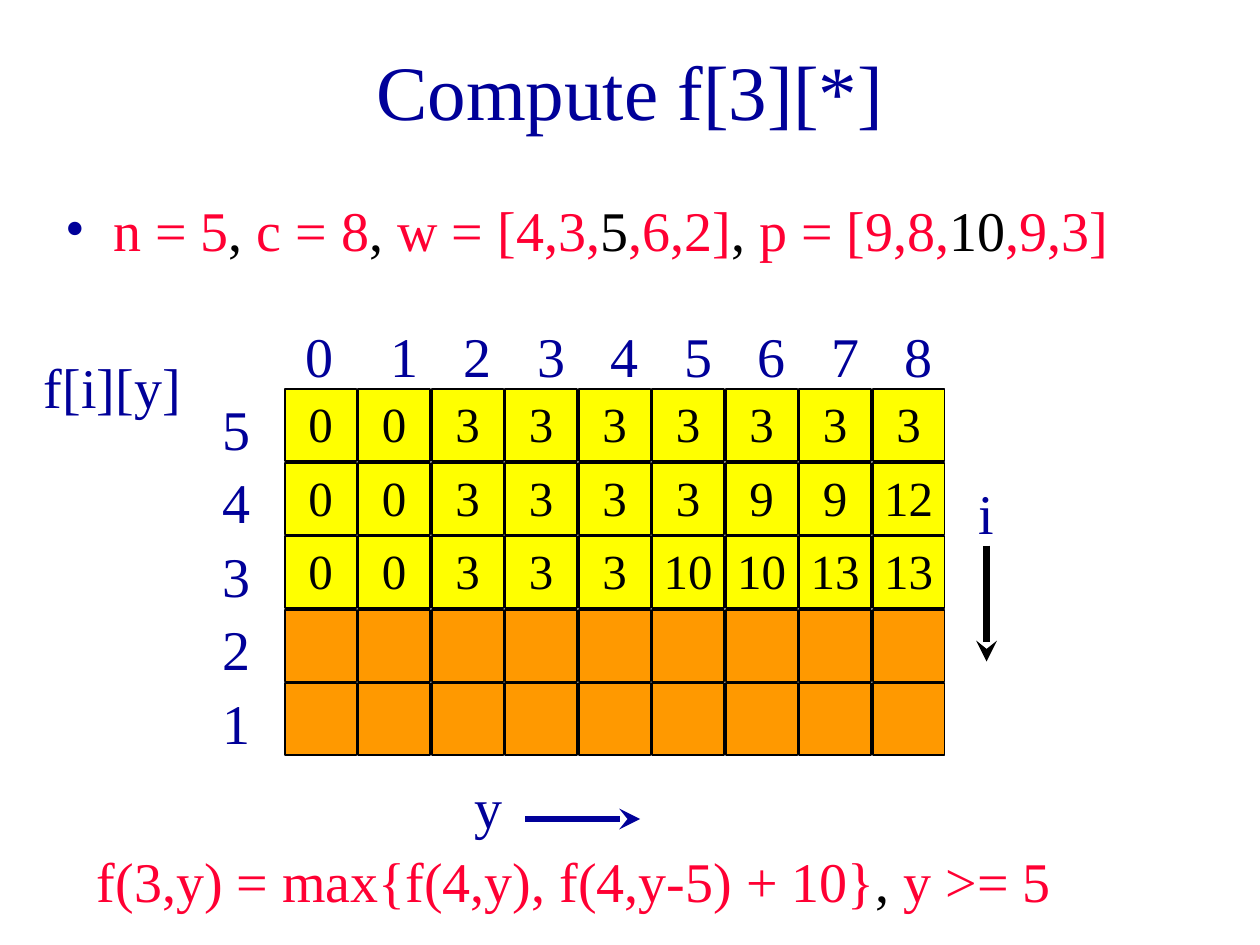
"""Build the slide that fills row 3 of the knapsack table f[i][y]."""
import lxml.etree
import pptx
import pptx.dml.color
import pptx.enum.shapes
import pptx.enum.text
import pptx.oxml.ns
import pptx.util

Inches = pptx.util.Inches
Pt = pptx.util.Pt
qn = pptx.oxml.ns.qn
RGBColor = pptx.dml.color.RGBColor
NAVY = RGBColor(0x00, 0x00, 0x99)
RED = RGBColor(0xFF, 0x00, 0x33)
BLACK = RGBColor(0x00, 0x00, 0x00)
YELLOW = RGBColor(0xFF, 0xFF, 0x00)
ORANGE = RGBColor(0xFF, 0x99, 0x00)
CENTER = pptx.enum.text.PP_ALIGN.CENTER
LEFT = pptx.enum.text.PP_ALIGN.LEFT
MIDDLE = pptx.enum.text.MSO_ANCHOR.MIDDLE
TOP = pptx.enum.text.MSO_ANCHOR.TOP

STEP = 7 / 12
CELL = 0.57
GRID_LEFT, GRID_TOP = 2.26, 3.09
ROWS = [
    (5, [0, 0, 3, 3, 3, 3, 3, 3, 3]),
    (4, [0, 0, 3, 3, 3, 3, 9, 9, 12]),
    (3, [0, 0, 3, 3, 3, 10, 10, 13, 13]),
    (2, [""] * 9),
    (1, [""] * 9),
]


def write(sp, text, size=32, color=NAVY, align=LEFT, anchor=TOP, wrap=True):
    """Write text, or a list of (text, color) runs, into a shape."""
    tf = sp.text_frame
    tf.word_wrap = wrap
    tf.auto_size = pptx.enum.text.MSO_AUTO_SIZE.NONE
    tf.vertical_anchor = anchor
    p = tf.paragraphs[0]
    p.alignment = align
    runs = [(text, color)] if isinstance(text, str) else text
    for run_text, run_color in runs:
        r = p.add_run()
        r.text = run_text
        r.font.name = "Times New Roman"
        r.font.size = Pt(size)
        r.font.color.rgb = run_color
    return p


prs = pptx.Presentation()
prs.slide_width, prs.slide_height = Inches(10), Inches(7.5)
s = prs.slides.add_slide(prs.slide_layouts[5])

title = s.shapes.title
title.left, title.top = Inches(0.75), Inches(0.17)
title.width, title.height = Inches(8.5), Inches(1.08)
write(title, "Compute f[3][*]", size=44, align=CENTER, anchor=MIDDLE)

data = s.shapes.add_textbox(Inches(0.42), Inches(1.5), Inches(9.25), Inches(0.67))
p = write(data, [
    ("n = 5", RED), (", ", BLACK), ("c = 8", RED), (", ", BLACK),
    ("w = [4,3,", RED), ("5", BLACK), (",6,2]", RED), (", ", BLACK),
    ("p = [9,8,", RED), ("10", BLACK), (",9,3]", RED),
])
pPr = p._p.get_or_add_pPr()
pPr.set("marL", str(Inches(0.38)))
pPr.set("indent", str(-Inches(0.38)))
bu_clr = lxml.etree.SubElement(pPr, qn("a:buClr"))
lxml.etree.SubElement(bu_clr, qn("a:srgbClr"), val=str(NAVY))
lxml.etree.SubElement(pPr, qn("a:buFont"), typeface="Times New Roman")
lxml.etree.SubElement(pPr, qn("a:buChar"), char="•")

for row, (i, values) in enumerate(ROWS):
    for col, value in enumerate(values):
        sp = s.shapes.add_shape(
            pptx.enum.shapes.MSO_SHAPE.RECTANGLE,
            Inches(GRID_LEFT + col * STEP), Inches(GRID_TOP + row * STEP),
            Inches(CELL), Inches(CELL))
        sp.shadow.inherit = False
        sp.fill.solid()
        sp.fill.fore_color.rgb = ORANGE if value == "" else YELLOW
        sp.line.color.rgb = BLACK
        sp.line.width = Pt(1)
        if value != "":
            tf = sp.text_frame
            tf.margin_left = tf.margin_right = tf.margin_top = 0
            tf.margin_bottom = Inches(0.03)
            write(sp, str(value), size=28, color=BLACK, align=CENTER, anchor=MIDDLE)

labels = [("f[i][y]", 0.25, 2.75, 1.42), ("y", 3.67, 6.08, 0.49),
          ("i", 7.67, 3.75, 0.42), ("0", 2.33, 2.5, 0.49)]
labels += [(str(y), 3 + (y - 1) * STEP, 2.5, 0.49) for y in range(1, 9)]
labels += [(str(i), 1.67, 3.08 + row * STEP, 0.49) for row, (i, _) in enumerate(ROWS)]
for text, left, top, width in labels:
    sp = s.shapes.add_textbox(Inches(left), Inches(top), Inches(width), Inches(0.63))
    write(sp, text)

for x1, y1, x2, y2, color in [(4.17, 6.5, 5.08, 6.5, NAVY), (7.83, 4.33, 7.83, 5.25, BLACK)]:
    arrow = s.shapes.add_connector(
        pptx.enum.shapes.MSO_CONNECTOR.STRAIGHT,
        Inches(x1), Inches(y1), Inches(x2), Inches(y2))
    arrow.line.color.rgb = color
    arrow.line.width = Pt(4)
    lxml.etree.SubElement(arrow.line._get_or_add_ln(), qn("a:tailEnd"), type="stealth")
    lxml.etree.SubElement(arrow._element.spPr, qn("a:effectLst"))

formula = s.shapes.add_textbox(Inches(0.67), Inches(6.67), Inches(7.83), Inches(0.64))
write(formula, [("f(3,y) = max{f(4,y), f(4,y-5) + 10}", RED), (", ", BLACK), ("y >= 5", RED)],
      wrap=False)

prs.save("out.pptx")
